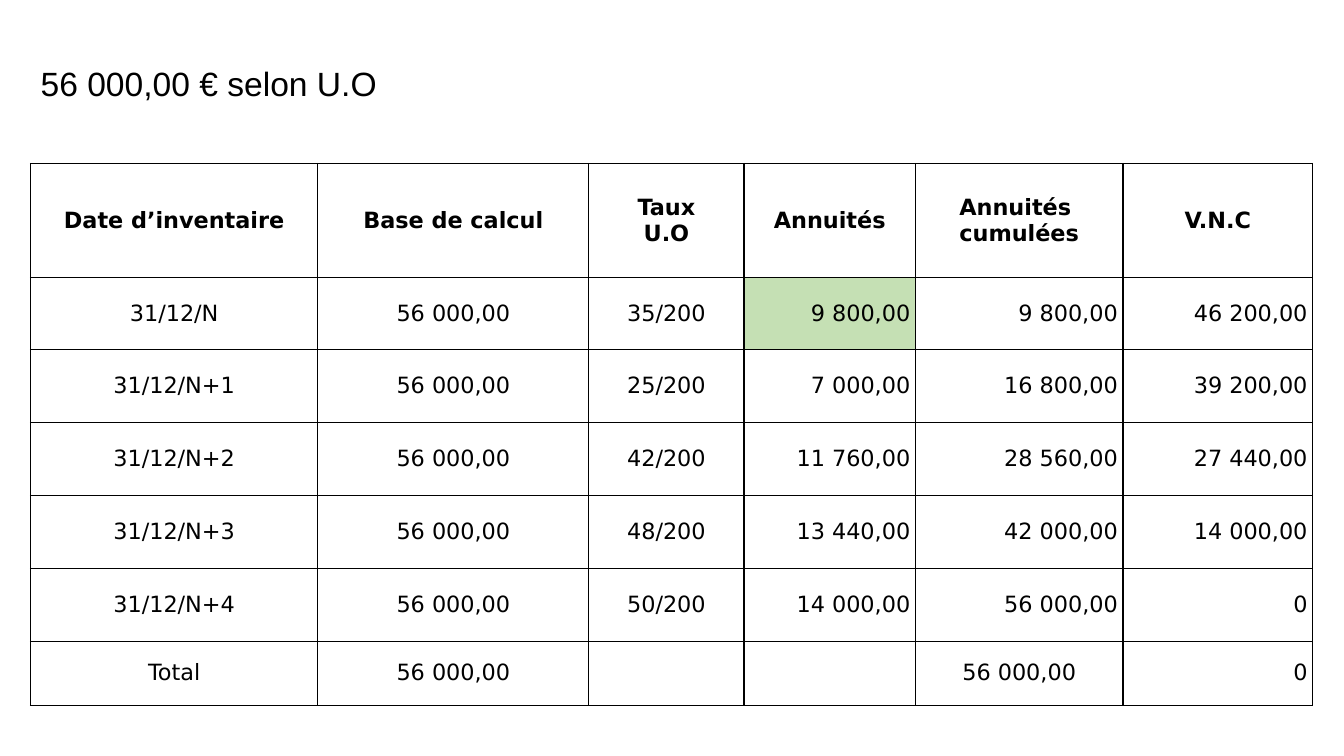
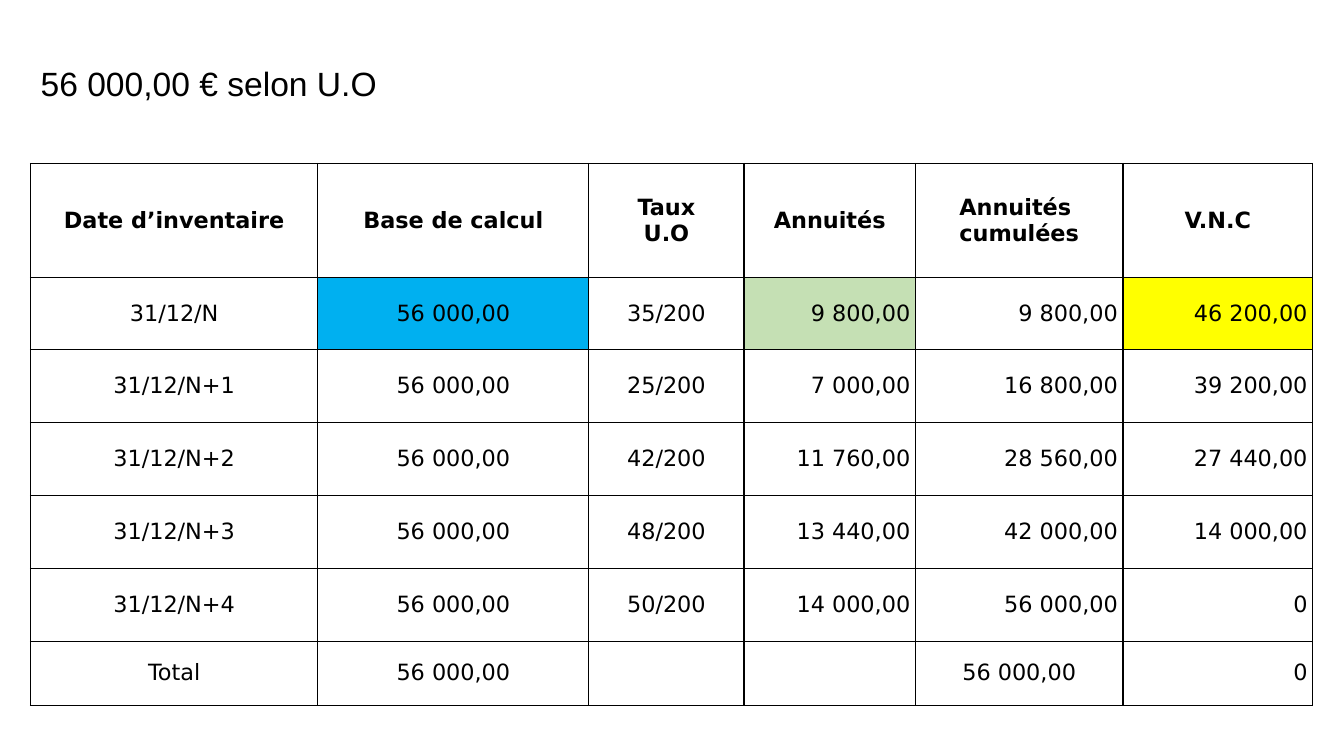
from pptx import Presentation
from pptx.dml.color import RGBColor
from pptx.enum.text import MSO_ANCHOR, PP_ALIGN
from pptx.oxml import parse_xml
from pptx.oxml.ns import nsdecls
from pptx.util import Cm, Pt

# Content
TITLE = "56 000,00 € selon U.O"
BASE = "56 000,00"
ROWS = [
    ("Date d’inventaire", "Base de calcul", "Taux\nU.O", "Annuités",
     "Annuités \vcumulées", "V.N.C"),
    ("31/12/N", BASE, "35/200", "9 800,00", "9 800,00", "46 200,00"),
    ("31/12/N+1", BASE, "25/200", "7 000,00", "16 800,00", "39 200,00"),
    ("31/12/N+2", BASE, "42/200", "11 760,00", "28 560,00", "27 440,00"),
    ("31/12/N+3", BASE, "48/200", "13 440,00", "42 000,00", "14 000,00"),
    ("31/12/N+4", BASE, "50/200", "14 000,00", "56 000,00", "0"),
    ("Total", BASE, "", "", "56 000,00", "0"),
]

# Highlighted cells of each slide: (row, column) -> colour name
HIGHLIGHTS = [
    {(1, 3): "green"},
    {(1, 1): "blue", (1, 3): "green", (1, 5): "yellow"},
]

# Shared style
COLORS = {"text": "000000", "border": "000000", "paper": "FFFFFF",
          "green": "C5E0B4", "blue": "00B0F0", "yellow": "FFFF00"}
TITLE_FONT, TABLE_FONT = "Arial", "DejaVu Sans"
LEFT, TABLE_TOP = 0.77, 4.12
COLUMN_WIDTHS = [7.24, 6.83, 3.91, 4.32, 5.23, 4.78]
ROW_HEIGHTS = [2.87, 1.81] + [1.84] * 4 + [1.61]
FIRST_AMOUNT_COLUMN = 3
TOTAL_ROW, CUMULATIVE_COLUMN = len(ROWS) - 1, 4


def style_run(span, font_name, size, bold=False):
    span.font.name = font_name
    span.font.size = Pt(size)
    span.font.bold = bold
    span.font.color.rgb = RGBColor.from_string(COLORS["text"])


def add_title(page):
    page.shapes.title.text_frame.text = TITLE
    para = page.shapes.title.text_frame.paragraphs[0]
    para.alignment = PP_ALIGN.LEFT
    para.line_spacing = 1.06
    para.space_after = Pt(8)
    style_run(para.runs[0], TITLE_FONT, 24)


def add_borders(cell):
    properties = cell._tc.get_or_add_tcPr()
    for side in ("lnL", "lnR", "lnT", "lnB"):
        properties.append(parse_xml(
            f'<a:{side} {nsdecls("a")} w="{Pt(1)}"><a:solidFill>'
            f'<a:srgbClr val="{COLORS["border"]}"/></a:solidFill></a:{side}>'))


def cell_alignment(row, column):
    is_amount = row > 0 and column >= FIRST_AMOUNT_COLUMN
    if is_amount and (row, column) != (TOTAL_ROW, CUMULATIVE_COLUMN):
        return PP_ALIGN.RIGHT
    return PP_ALIGN.CENTER


def fill_cell(cell, row, column, color):
    add_borders(cell)
    cell.fill.solid()
    cell.fill.fore_color.rgb = RGBColor.from_string(COLORS[color])
    cell.vertical_anchor = MSO_ANCHOR.MIDDLE
    cell.margin_left = cell.margin_right = Cm(0.13)
    cell.margin_top = cell.margin_bottom = Cm(0)
    cell.text_frame.text = ROWS[row][column]
    for para in cell.text_frame.paragraphs:
        para.alignment = cell_alignment(row, column)
        for span in para.runs:
            style_run(span, TABLE_FONT, 16, bold=row == 0)


def add_depreciation_table(page, highlights):
    frame = page.shapes.add_table(
        len(ROWS), len(COLUMN_WIDTHS), Cm(LEFT), Cm(TABLE_TOP),
        Cm(sum(COLUMN_WIDTHS)), Cm(sum(ROW_HEIGHTS)))
    table = frame.table
    table.first_row = table.horz_banding = False
    for column, width in zip(table.columns, COLUMN_WIDTHS):
        column.width = Cm(width)
    for row, height in zip(table.rows, ROW_HEIGHTS):
        row.height = Cm(height)
    for row in range(len(ROWS)):
        for column in range(len(COLUMN_WIDTHS)):
            color = highlights.get((row, column), "paper")
            fill_cell(table.cell(row, column), row, column, color)


def main():
    deck = Presentation()
    deck.slide_width, deck.slide_height = Cm(33.87), Cm(19.05)

    # Title position, shared through the "Title Only" layout
    layout = deck.slide_layouts[5]
    box = layout.placeholders[0]
    box.left, box.top = Cm(LEFT), Cm(0.28)
    box.width, box.height = Cm(32.72), Cm(3.58)
    box.text_frame.vertical_anchor = MSO_ANCHOR.MIDDLE

    for highlights in HIGHLIGHTS:
        page = deck.slides.add_slide(layout)
        add_title(page)
        add_depreciation_table(page, highlights)
    deck.save("out.pptx")


if __name__ == "__main__":
    main()
